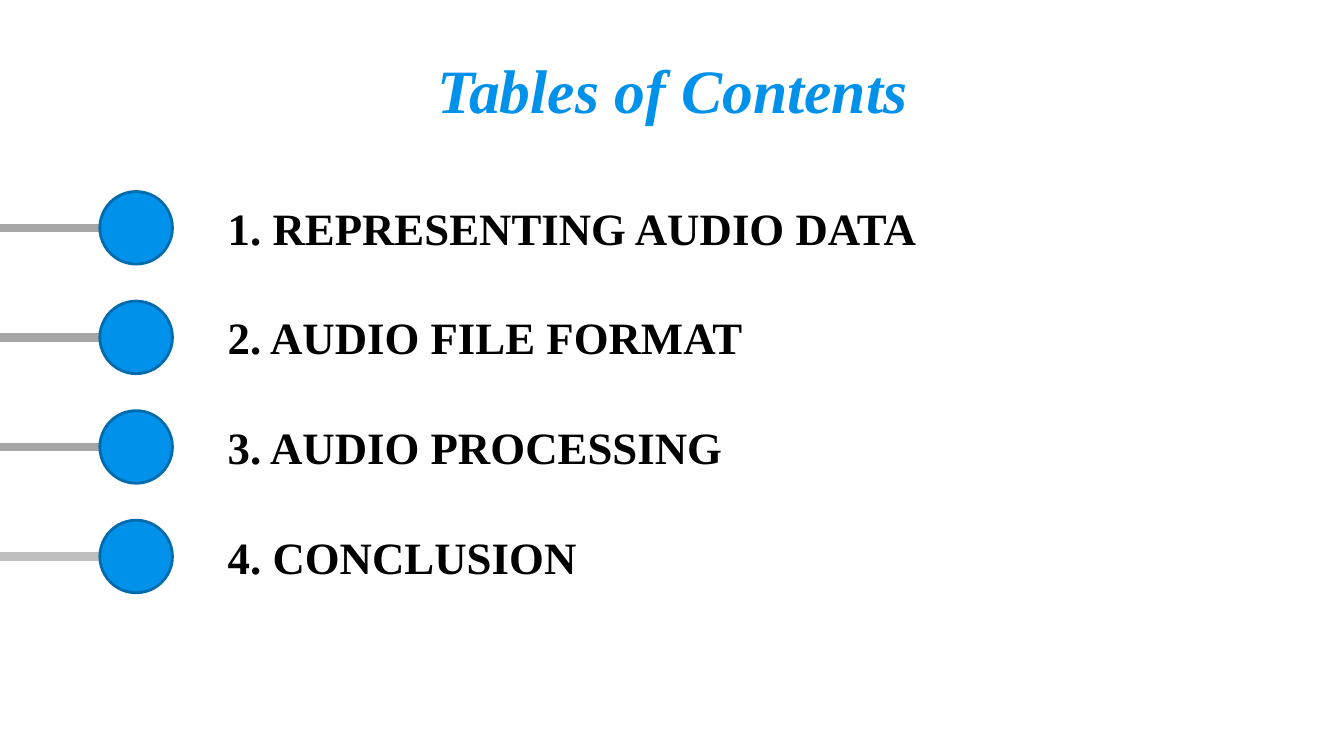
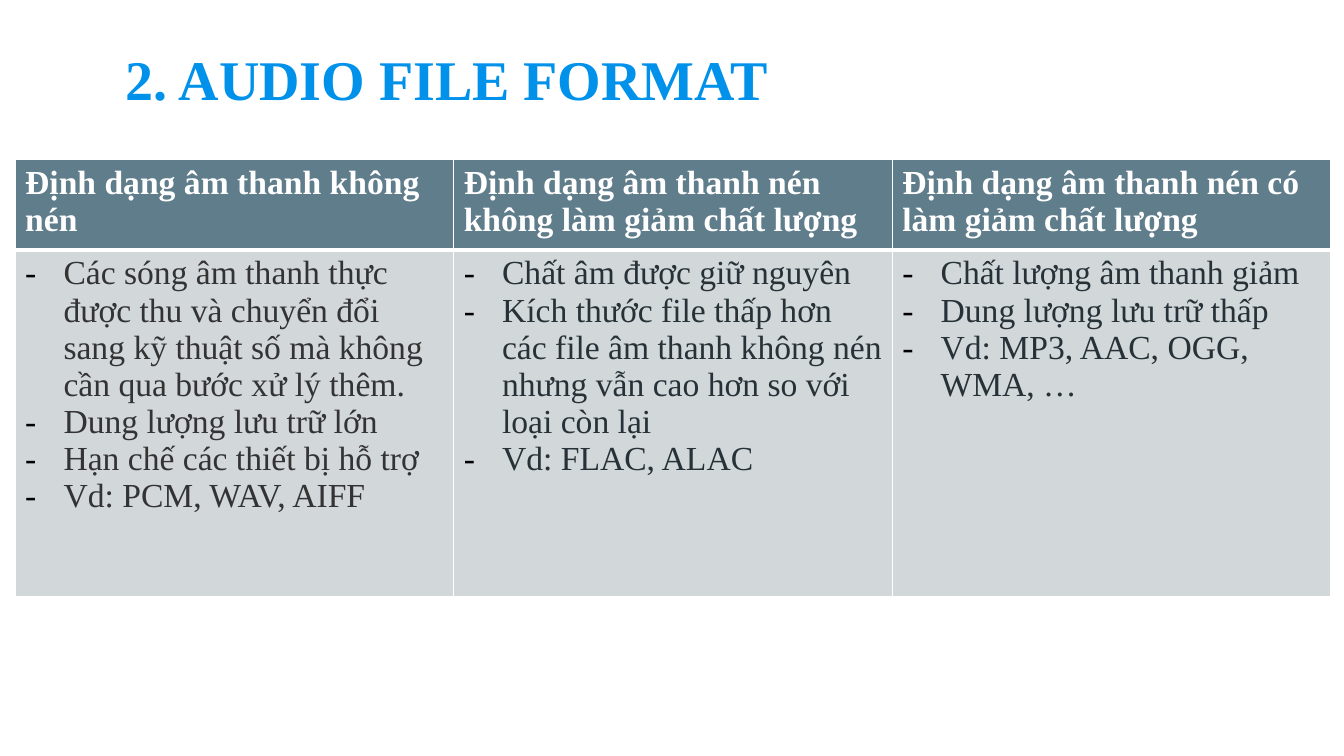
from lxml.etree import SubElement
from pptx import Presentation
from pptx.dml.color import RGBColor
from pptx.enum.shapes import MSO_CONNECTOR as CONN, MSO_SHAPE as SHAPE
from pptx.enum.text import MSO_ANCHOR as ANCHOR, PP_ALIGN as ALIGN
from pptx.oxml import parse_xml
from pptx.oxml.ns import nsdecls, qn
from pptx.util import Inches, Pt

FONT = "Times New Roman"
COLORS = {
    "accent": "0091EA", "accent_dark": "006BAD", "line": "A6A6A6",
    "line_light": "BFBFBF", "black": "000000", "white": "FFFFFF",
    "header": "607D8B", "cell": "D2D7DA", "gray": "333333", "slate": "263238",
}


def rgb(name):
    return RGBColor.from_string(COLORS[name])


def write(p, text, size=24, color="black", bold=False, italic=False, align=ALIGN.LEFT):
    p.alignment = align
    r = p.add_run()
    r.text = text
    r.font.name = FONT
    r.font.size = Pt(size)
    r.font.bold = bold
    r.font.italic = italic
    r.font.color.rgb = rgb(color)


def add_dash(p, indent=0.38):
    pPr = p._p.get_or_add_pPr()
    pPr.set("marL", str(Inches(indent)))
    pPr.set("indent", str(-Inches(indent)))
    clr = SubElement(pPr, qn("a:buClr"))
    SubElement(clr, qn("a:srgbClr"), val=COLORS["black"])
    SubElement(pPr, qn("a:buFont"), typeface=FONT)
    SubElement(pPr, qn("a:buChar"), char="-")


def set_borders(cell, **widths):
    tcPr = cell._tc.get_or_add_tcPr()
    for i, (side, width) in enumerate(widths.items()):
        ln = parse_xml(
            f'<a:ln{side} {nsdecls("a")} w="{Pt(width)}"><a:solidFill>'
            f'<a:srgbClr val="{COLORS["white"]}"/></a:solidFill></a:ln{side}>')
        tcPr.insert(i, ln)


class Deck:
    def __init__(self):
        self.prs = Presentation()
        self.prs.slide_width = Inches(13.33)
        self.prs.slide_height = Inches(7.5)
        self.slide = None

    def add_slide(self):
        self.slide = self.prs.slides.add_slide(self.prs.slide_layouts[6])

    def text(self, text, x, y, w, h, anchor=ANCHOR.TOP, inset=0.05, **fmt):
        sp = self.slide.shapes.add_textbox(Inches(x), Inches(y), Inches(w), Inches(h))
        tf = sp.text_frame
        tf.word_wrap = True
        tf.vertical_anchor = anchor
        tf.margin_top = tf.margin_bottom = Inches(inset)
        write(tf.paragraphs[0], text, **fmt)

    def title(self, text, x, y, w, h, **fmt):
        self.text(text, x, y, w, h, anchor=ANCHOR.BOTTOM, inset=0.1,
                  color="accent", bold=True, **fmt)

    def line(self, x1, x2, y, color):
        cx = self.slide.shapes.add_connector(
            CONN.STRAIGHT, Inches(x1), Inches(y), Inches(x2), Inches(y))
        cx.line.color.rgb = rgb(color)
        cx.line.width = Pt(6)
        SubElement(cx._element.spPr, qn("a:effectLst"))

    def circle(self, x, y, size):
        sp = self.slide.shapes.add_shape(
            SHAPE.OVAL, Inches(x), Inches(y), Inches(size), Inches(size))
        sp.shadow.inherit = False
        sp.fill.solid()
        sp.fill.fore_color.rgb = rgb("accent")
        sp.line.color.rgb = rgb("accent_dark")
        sp.line.width = Pt(2)

    def table(self, columns, x, y, col_width, row_heights):
        frame = self.slide.shapes.add_table(
            2, len(columns), Inches(x), Inches(y),
            Inches(col_width * len(columns)), Inches(sum(row_heights)))
        tbl = frame.table
        for row, height in zip(tbl.rows, row_heights):
            row.height = Inches(height)
        for i, (heading, color, items) in enumerate(columns):
            tbl.columns[i].width = Inches(col_width)
            head, body = tbl.cell(0, i), tbl.cell(1, i)
            for cell, fill in ((head, "header"), (body, "cell")):
                cell.fill.solid()
                cell.fill.fore_color.rgb = rgb(fill)
            set_borders(head, L=1, R=1, T=1, B=3)
            set_borders(body, L=1, R=1, T=3, B=1)
            write(head.text_frame.paragraphs[0], heading, color="white", bold=True)
            tf = body.text_frame
            for j, item in enumerate(items):
                p = tf.add_paragraph() if j else tf.paragraphs[0]
                write(p, item, color=color)
                add_dash(p)


TOPICS = ["REPRESENTING AUDIO DATA", "AUDIO FILE FORMAT", "AUDIO PROCESSING", "CONCLUSION"]

FORMATS = [
    ("Định dạng âm thanh không nén", "gray", [
        "Các sóng âm thanh thực được thu và chuyển đổi sang kỹ thuật số mà không "
        "cần qua bước xử lý thêm.",
        "Dung lượng lưu trữ lớn",
        "Hạn chế các thiết bị hỗ trợ",
        "Vd: PCM, WAV, AIFF"]),
    ("Định dạng âm thanh nén không làm giảm chất lượng", "slate", [
        "Chất âm được giữ nguyên",
        "Kích thước file thấp hơn các file âm thanh không nén nhưng vẫn cao hơn "
        "so với loại còn lại",
        "Vd: FLAC, ALAC"]),
    ("Định dạng âm thanh nén có làm giảm chất lượng", "slate", [
        "Chất lượng âm thanh giảm",
        "Dung lượng lưu trữ thấp",
        "Vd: MP3, AAC, OGG, WMA, …"]),
]


def build_contents(deck):
    deck.add_slide()
    deck.title("Tables of Contents", 4.16, 0.62, 5.02, 0.73,
               size=44, italic=True, align=ALIGN.CENTER)
    size, pitch = 0.72, 1.087
    for i, topic in enumerate(TOPICS):
        mid = 2.26 + i * pitch
        last = i == len(TOPICS) - 1
        deck.line(0, 1.06, mid, "line_light" if last else "line")
        deck.circle(0.99, mid - size / 2, size)
        deck.text(f"{i + 1}. {topic}", 2.16, mid - 0.32, 7.89, 0.64, size=32, bold=True)


def build_formats(deck):
    deck.add_slide()
    deck.title(f"2. {TOPICS[1]}", 1.15, 0.19, 11.04, 1.02, size=40)
    deck.table(FORMATS, 0.15, 1.58, 4.35, [0.79, 3.44])


def main():
    deck = Deck()
    build_contents(deck)
    build_formats(deck)
    deck.prs.save("out.pptx")


if __name__ == "__main__":
    main()
